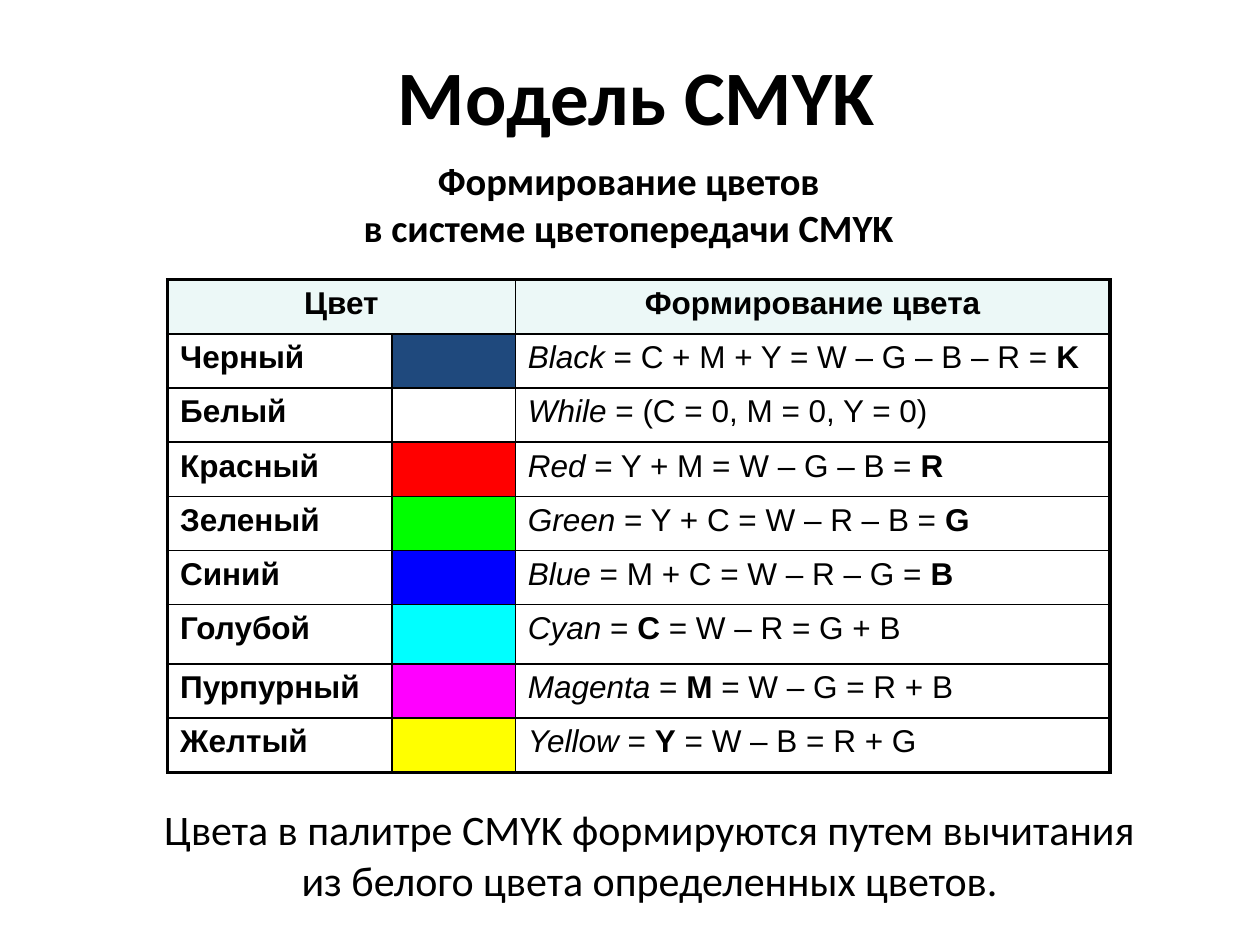
import pptx
import pptx.util
import pptx.dml.color
import pptx.enum.text
import pptx.oxml.ns
import lxml.etree

Inches = pptx.util.Inches
CENTER = pptx.enum.text.PP_ALIGN.CENTER
MIDDLE = pptx.enum.text.MSO_ANCHOR.MIDDLE

THEME = {
    "text_font": "Calibri", "table_font": "Arial",
    "title_size": 44, "subtitle_size": 22, "table_size": 18, "note_size": 24,
    "ink": "000000", "header_fill": "ECF8F7",
    "thin": 1, "thick": 2.25,
}

# Content
TITLE = "Модель CMYK"
SUBTITLE = "Формирование цветов\nв системе цветопередачи СMYK"
NOTE = "Цвета в палитре CMYK формируются путем вычитания\vиз белого цвета определенных цветов."
HEADERS = ["Цвет", "", "Формирование цвета"]
# name, swatch, English name, formula parts (every second part is bold)
COLOURS = [
    ("Черный", "1F497D", "Black", [" = C + M + Y = W – G – B – R = ", "K"]),
    ("Белый", None, "While", [" = (C = 0, M = 0, Y = 0)"]),
    ("Красный", "FF0000", "Red", [" = Y + M = W – G – B = ", "R"]),
    ("Зеленый", "00FF00", "Green", [" = Y + C = W – R – B = ", "G"]),
    ("Синий", "0000FF", "Blue", [" = M + C = W – R – G = ", "B"]),
    ("Голубой", "00FFFF", "Cyan", [" = ", "C", " = W – R = G + B"]),
    ("Пурпурный", "FF00FF", "Magenta", [" = ", "M", " = W – G = R + B"]),
    ("Желтый", "FFFF00", "Yellow", [" = ", "Y", " = W – B = R + G"]),
]

# Layout
TABLE_LEFT, TABLE_TOP = 1.33, 2.22
COLUMN_WIDTHS = [1.78, 0.98, 4.72]
ROW_HEIGHTS = [0.47 if name == "Голубой" else 0.43
               for name in ["header"] + [colour[0] for colour in COLOURS]]


def rgb(value):
    return pptx.dml.color.RGBColor.from_string(value)


def style_run(run, font, size, bold=False, italic=False):
    run.font.name = font
    run.font.size = pptx.util.Pt(size)
    run.font.bold = bold
    run.font.italic = italic
    run.font.color.rgb = rgb(THEME["ink"])


def add_text(slide, box, text, size, bold=False, anchor=None):
    shape = slide.shapes.add_textbox(*map(Inches, box))
    frame = shape.text_frame
    frame.word_wrap = True
    frame.text = text
    if anchor is not None:
        frame.vertical_anchor = anchor
    for paragraph in frame.paragraphs:
        paragraph.alignment = CENTER
        for run in paragraph.runs:
            style_run(run, THEME["text_font"], size, bold)


def write_cell(cell, parts):
    """Write (text, bold, italic) parts as runs of one paragraph."""
    for text, bold, italic in parts:
        run = cell.text_frame.paragraphs[0].add_run()
        run.text = text
        style_run(run, THEME["table_font"], THEME["table_size"], bold, italic)


def paint_cell(cell, fill):
    if fill:
        cell.fill.solid()
        cell.fill.fore_color.rgb = rgb(fill)
    else:
        cell.fill.background()


def set_borders(cell, outer_edges):
    """Draw thick lines on the outer edges and thin lines elsewhere."""
    qn = pptx.oxml.ns.qn
    properties = cell._tc.get_or_add_tcPr()
    for position, edge in enumerate("LRTB"):
        width = THEME["thick" if edge in outer_edges else "thin"]
        line = lxml.etree.Element(qn("a:ln" + edge), w=str(int(pptx.util.Pt(width))))
        fill = lxml.etree.SubElement(line, qn("a:solidFill"))
        lxml.etree.SubElement(fill, qn("a:srgbClr"), val=THEME["ink"])
        properties.insert(position, line)


def add_colour_table(slide):
    row_count, column_count = len(ROW_HEIGHTS), len(COLUMN_WIDTHS)
    table = slide.shapes.add_table(
        row_count, column_count, Inches(TABLE_LEFT), Inches(TABLE_TOP),
        Inches(sum(COLUMN_WIDTHS)), Inches(sum(ROW_HEIGHTS))).table
    table.first_row = table.horz_banding = False
    for column, width in zip(table.columns, COLUMN_WIDTHS):
        column.width = Inches(width)
    for row, height in zip(table.rows, ROW_HEIGHTS):
        row.height = Inches(height)

    # Header row
    table.cell(0, 0).merge(table.cell(0, 1))
    for index, header in enumerate(HEADERS):
        cell = table.cell(0, index)
        paint_cell(cell, THEME["header_fill"])
        if header:
            write_cell(cell, [(header, True, False)])
            cell.text_frame.paragraphs[0].alignment = CENTER

    # Colour rows
    for index, (name, swatch, english, formula) in enumerate(COLOURS, start=1):
        name_cell, swatch_cell, formula_cell = table.rows[index].cells
        write_cell(name_cell, [(name, True, False)])
        write_cell(formula_cell, [(english, False, True)] + [
            (part, position % 2 == 1, False) for position, part in enumerate(formula)])
        for cell, fill in ((name_cell, None), (swatch_cell, swatch), (formula_cell, None)):
            paint_cell(cell, fill)

    # Frame and grid lines
    for row in range(row_count):
        for column in range(column_count):
            outer = {"T": row == 0, "B": row == row_count - 1,
                     "L": column == 0, "R": column == column_count - 1}
            set_borders(table.cell(row, column), [edge for edge in outer if outer[edge]])


def main():
    presentation = pptx.Presentation()
    presentation.slide_width, presentation.slide_height = Inches(10), Inches(7.5)
    slide = presentation.slides.add_slide(presentation.slide_layouts[6])

    add_text(slide, (0.55, 0, 9, 1.5), TITLE, THEME["title_size"], True, MIDDLE)
    add_text(slide, (1.72, 1.2, 6.54, 0.84), SUBTITLE, THEME["subtitle_size"], True)
    add_colour_table(slide)
    add_text(slide, (0.31, 6.33, 9.69, 0.91), NOTE, THEME["note_size"])

    presentation.save("out.pptx")


if __name__ == "__main__":
    main()
